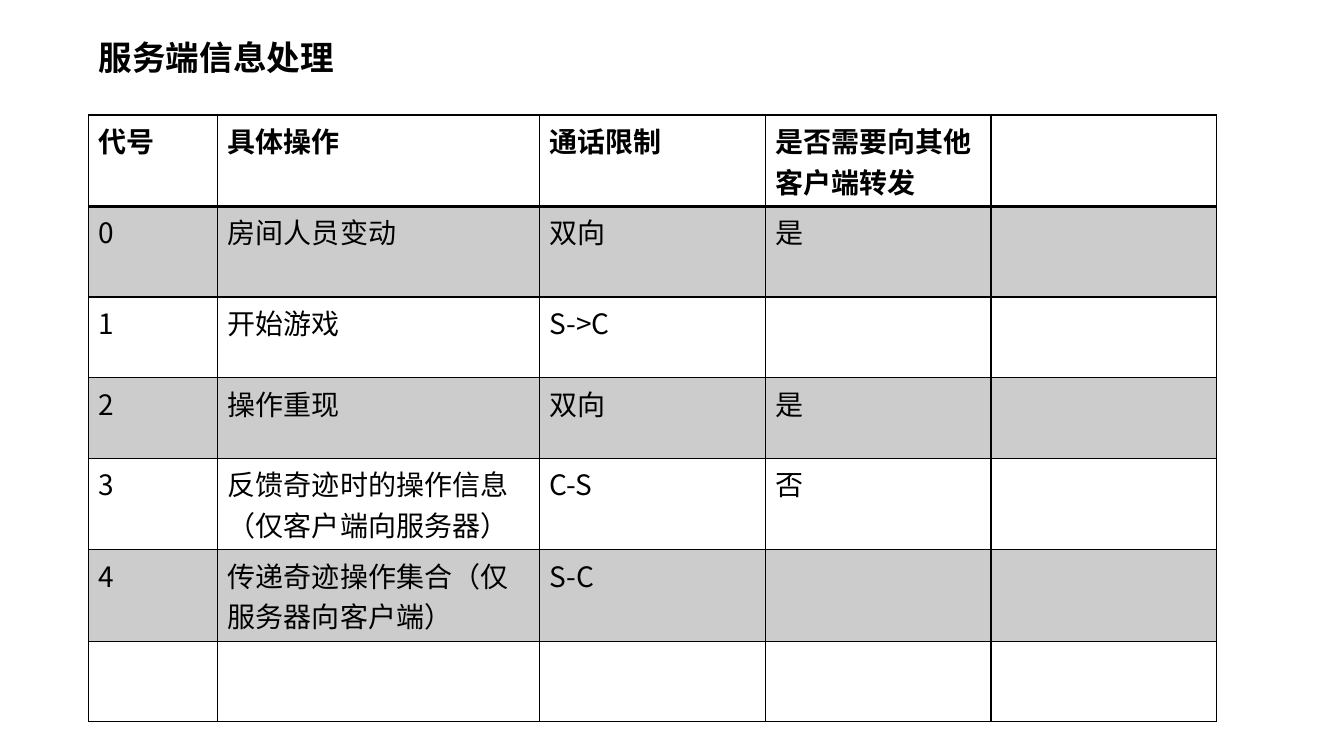
from lxml import etree
from pptx import Presentation
from pptx.dml.color import RGBColor
from pptx.enum.text import MSO_AUTO_SIZE
from pptx.oxml.ns import qn
from pptx.util import Inches, Pt

FIT = MSO_AUTO_SIZE.SHAPE_TO_FIT_TEXT
FONT = "Noto Sans CJK SC"
BLACK = "000000"


def color(code):
    return RGBColor.from_string(code)


def write(frame, text, size, bold):
    run = frame.paragraphs[0].add_run()
    run.text = text
    style = {"name": FONT, "size": Pt(size), "bold": bold}
    for key, value in style.items():
        setattr(run.font, key, value)
    run.font.color.rgb = color(BLACK)
    # East Asian glyphs take their font from a:ea
    etree.SubElement(run.font._element, qn("a:ea"), typeface=FONT)


prs = Presentation()
prs.slide_width = Inches(13.33)
prs.slide_height = Inches(7.5)
slide = prs.slides.add_slide(prs.slide_layouts[6])

# Table content
rows = [
    ["代号", "具体操作", "通话限制", "是否需要向其他客户端转发", ""],
    ["0", "房间人员变动", "双向", "是", ""],
    ["1", "开始游戏", "S->C", "", ""],
    ["2", "操作重现", "双向", "是", ""],
    ["3", "反馈奇迹时的操作信息（仅客户端向服务器）", "C-S", "否", ""],
    ["4", "传递奇迹操作集合（仅服务器向客户端）", "S-C", "", ""],
    ["", "", "", "", ""],
]
widths = [1.28, 3.19, 2.24, 2.24, 2.24]
heights = [0.9, 0.9, 0.8, 0.8, 0.9, 0.9, 0.8]

# Table grid
table = slide.shapes.add_table(
    len(rows), len(widths), Inches(0.88), Inches(1.14),
    Inches(sum(widths)), Inches(sum(heights))).table
table.horz_banding = False
for col, width in zip(table.columns, widths):
    col.width = Inches(width)
for row, height in zip(table.rows, heights):
    row.height = Inches(height)

# Cells: text, borders, shaded odd rows
for r, texts in enumerate(rows):
    for c, text in enumerate(texts):
        cell = table.cell(r, c)
        if text:
            write(cell.text_frame, text, 20, r == 0)
        props = cell._tc.get_or_add_tcPr()
        for side in "LRTB":
            thick = (r, side) in [(0, "B"), (1, "T")]
            line = etree.SubElement(props, qn("a:ln" + side),
                                    w=str(Pt(2 if thick else 1)))
            paint = etree.SubElement(line, qn("a:solidFill"))
            etree.SubElement(paint, qn("a:srgbClr"), val=BLACK)
        if r % 2:
            cell.fill.solid()
            cell.fill.fore_color.rgb = color(BLACK)
            shade = props.find(qn("a:solidFill")).find(qn("a:srgbClr"))
            etree.SubElement(shade, qn("a:alpha"), val="20000")
        else:
            cell.fill.background()

# Title
title = slide.shapes.add_textbox(
    Inches(0.88), Inches(0.32), Inches(6.66), Inches(0.5)).text_frame
title.word_wrap = True
title.auto_size = FIT
write(title, "服务端信息处理", 24, True)

prs.save("out.pptx")
